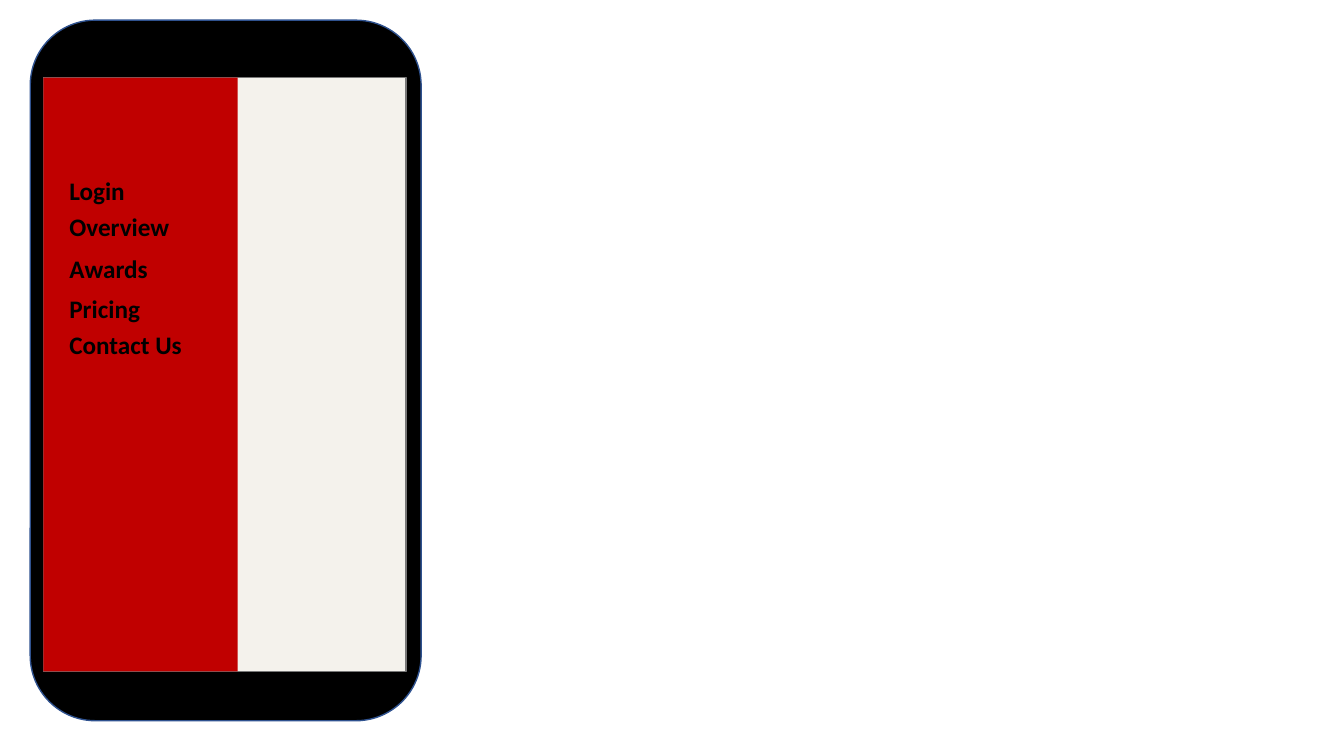
from pptx import Presentation
from pptx.dml.color import RGBColor
from pptx.enum.shapes import MSO_SHAPE as SHAPE
from pptx.enum.text import MSO_AUTO_SIZE as AUTO_SIZE
from pptx.util import Pt

PX = 9144  # EMU per px, 100 px to the inch
COLORS = {
    "body": "000000",
    "body_edge": "2F528F",
    "screen": "F4F2EC",
    "screen_edge": "787878",
    "menu": "C00000",
    "text": "000000",
}

prs = Presentation()
prs.slide_width, prs.slide_height = 1334 * PX, 750 * PX
slide = prs.slides.add_slide(prs.slide_layouts[6])


def color(name):
    return RGBColor.from_string(COLORS[name])


def add_label(text, *, left, top, width, height, size=18, bold=True, font="Calibri"):
    box = slide.shapes.add_textbox(left * PX, top * PX, width * PX, height * PX)
    frame = box.text_frame
    frame.word_wrap = True
    frame.auto_size = AUTO_SIZE.SHAPE_TO_FIT_TEXT
    run = frame.paragraphs[0].add_run()
    run.text = text
    run.font.name, run.font.size, run.font.bold = font, Pt(size), bold
    run.font.color.rgb = color("text")


# Phone body, screen and side menu, from back to front
phone_parts = [
    (SHAPE.ROUNDED_RECTANGLE, (30, 20, 388, 695), "body", "body_edge"),
    (SHAPE.RECTANGLE, (43, 77, 360, 589), "screen", "screen_edge"),
    (SHAPE.RECTANGLE, (43, 77, 193, 589), "menu", None),
]
for outline, place, fill, edge in phone_parts:
    part = slide.shapes.add_shape(outline, *(length * PX for length in place))
    part.shadow.inherit = False
    part.fill.solid()
    part.fill.fore_color.rgb = color(fill)
    if edge:
        part.line.color.rgb = color(edge)
        part.line.width = Pt(1)
    else:
        part.line.fill.background()

# Menu entries
menu_entries = {
    "Login": 169,
    "Overview": 205,
    "Awards": 246,
    "Pricing": 286,
    "Contact Us": 322,
}
for entry, top in menu_entries.items():
    add_label(entry, left=59, top=top, width=270, height=40)

prs.save("out.pptx")
